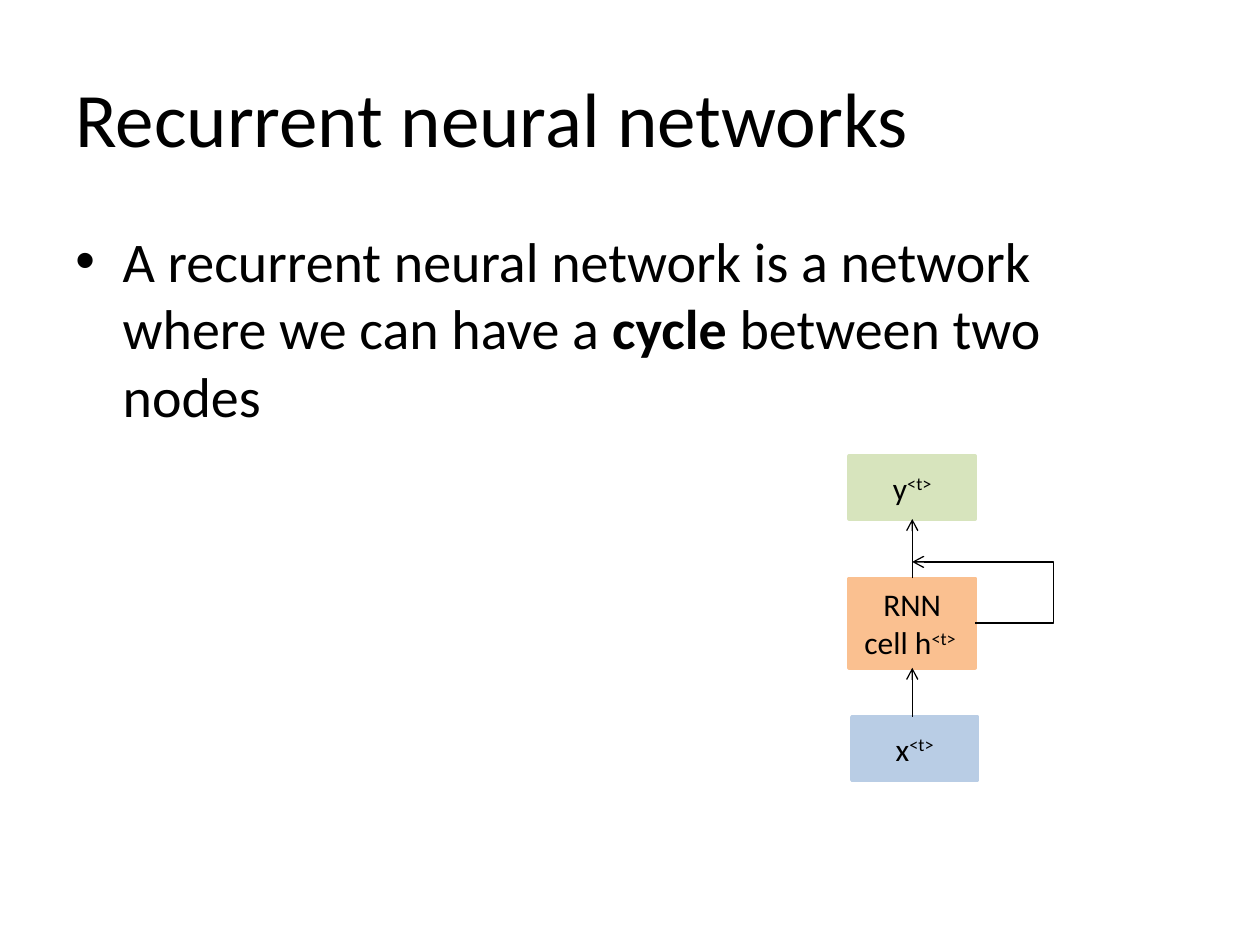
from dataclasses import dataclass

from lxml import etree
from pptx import Presentation
from pptx.dml.color import RGBColor
from pptx.enum.shapes import MSO_CONNECTOR, MSO_SHAPE
from pptx.enum.text import MSO_ANCHOR, PP_ALIGN
from pptx.oxml.ns import qn
from pptx.util import Pt

RECTANGLE = MSO_SHAPE.RECTANGLE
STRAIGHT, ELBOW = MSO_CONNECTOR.STRAIGHT, MSO_CONNECTOR.ELBOW
MIDDLE, CENTER = MSO_ANCHOR.MIDDLE, PP_ALIGN.CENTER
TOP, BOTTOM, RIGHT = 0, 2, 3


@dataclass(frozen=True)
class Theme:
    font: str = "Calibri"
    ink: RGBColor = RGBColor(0, 0, 0)
    input_fill: RGBColor = RGBColor(0xB9, 0xCD, 0xE5)
    cell_fill: RGBColor = RGBColor(0xFA, 0xC0, 0x90)
    output_fill: RGBColor = RGBColor(0xD7, 0xE4, 0xBD)
    title_size: int = 44
    body_size: int = 32
    node_size: int = 18


THEME = Theme()


def add_run(paragraph, text, size, bold=False, superscript=False):
    run = paragraph.add_run()
    run.text = text
    run.font.name = THEME.font
    run.font.size = Pt(size)
    run.font.bold = bold
    run.font.color.rgb = THEME.ink
    if superscript:
        run._r.get_or_add_rPr().set("baseline", "30000")


def add_arrow(kind, start, end):
    """Add a thin black connector with an open arrowhead at its end."""
    arrow = slide.shapes.add_connector(kind, *map(Pt, start + end))
    arrow.line.color.rgb = THEME.ink
    arrow.line.width = Pt(0.75)
    etree.SubElement(arrow.line._get_or_add_ln(), qn("a:tailEnd"), type="arrow")
    etree.SubElement(arrow._element.spPr, qn("a:effectLst"))
    return arrow


presentation = Presentation()
presentation.slide_width, presentation.slide_height = Pt(720), Pt(540)
slide = presentation.slides.add_slide(presentation.slide_layouts[6])

# Title
title = slide.shapes.add_textbox(Pt(36), Pt(21.6), Pt(648), Pt(90)).text_frame
title.word_wrap = True
title.vertical_anchor = MIDDLE
add_run(title.paragraphs[0], "Recurrent neural networks", THEME.title_size)

# Bulleted definition
body = slide.shapes.add_textbox(Pt(36), Pt(126), Pt(648), Pt(356.4)).text_frame
body.word_wrap = True
definition = body.paragraphs[0]
properties = definition._p.get_or_add_pPr()
properties.set("marL", str(Pt(27)))
properties.set("indent", str(-Pt(27)))
space_before = etree.SubElement(properties, qn("a:spcBef"))
etree.SubElement(space_before, qn("a:spcPct"), val="20000")
etree.SubElement(properties, qn("a:buFont"), typeface="Arial")
etree.SubElement(properties, qn("a:buChar"), char="•")
for text, bold in (
    ("A recurrent neural network is a network where we can have a ", False),
    ("cycle", True),
    (" between two nodes", False),
):
    add_run(definition, text, THEME.body_size, bold=bold)

# Network nodes, from input up to output
nodes = {}
for name, label, index, left, top, height, color in (
    ("input", "x", "<t>", 486.7, 409.7, 36, THEME.input_fill),
    ("cell", "RNN cell h", "<t> ", 485.3, 330.5, 51.1, THEME.cell_fill),
    ("output", "y", "<t>", 485.3, 260.6, 36, THEME.output_fill),
):
    node = slide.shapes.add_shape(RECTANGLE, Pt(left), Pt(top), Pt(72), Pt(height))
    node.shadow.inherit = False
    node.fill.solid()
    node.fill.fore_color.rgb = color
    node.line.color.rgb = color
    node.line.width = Pt(2)
    node.text_frame.word_wrap = True
    node.text_frame.vertical_anchor = MIDDLE
    paragraph = node.text_frame.paragraphs[0]
    paragraph.alignment = CENTER
    add_run(paragraph, label, THEME.node_size)
    add_run(paragraph, index, THEME.node_size, superscript=True)
    nodes[name] = node

# Flow between the nodes
flow_x = 521.3
input_arrow = add_arrow(STRAIGHT, (flow_x, 409.7), (flow_x, 381.6))
input_arrow.end_connect(nodes["cell"], BOTTOM)
output_arrow = add_arrow(STRAIGHT, (flow_x, 330.5), (flow_x, 296.6))
output_arrow.begin_connect(nodes["cell"], TOP)
output_arrow.end_connect(nodes["output"], BOTTOM)

# Cycle from the cell's side back to its output
cycle = add_arrow(ELBOW, (557.3, 356), (flow_x, 321.1))
cycle.begin_connect(nodes["cell"], RIGHT)
adjustments = cycle._element.spPr.find(qn("a:prstGeom")).get_or_add_avLst()
etree.SubElement(adjustments, qn("a:gd"), name="adj1", fmla="val -124000")

presentation.save("out.pptx")
